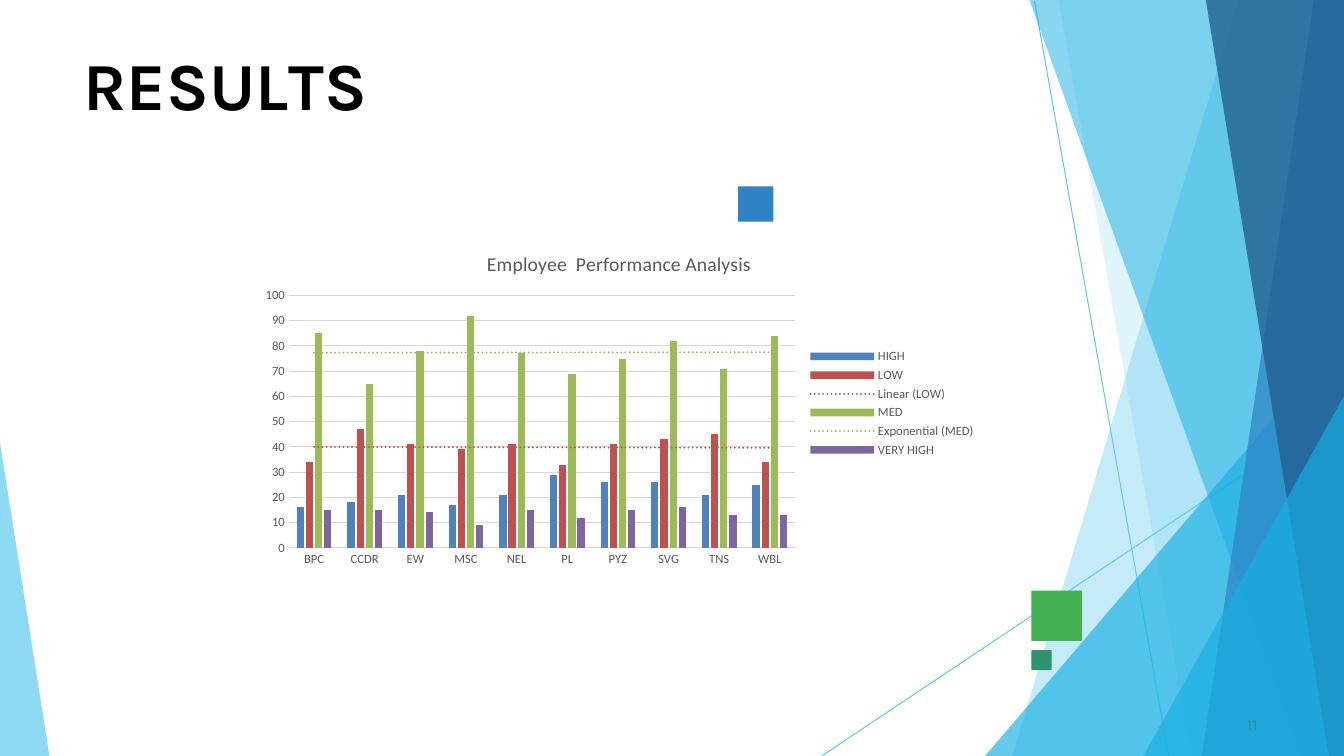
from lxml.etree import SubElement
from pptx import Presentation
from pptx.chart.data import CategoryChartData
from pptx.dml.color import RGBColor
from pptx.enum.chart import XL_CHART_TYPE, XL_LEGEND_POSITION, XL_TICK_MARK
from pptx.enum.shapes import MSO_CONNECTOR, MSO_SHAPE
from pptx.enum.text import MSO_ANCHOR, PP_ALIGN
from pptx.oxml import parse_xml
from pptx.oxml.ns import nsdecls, qn
from pptx.util import Inches, Pt

SKY = RGBColor(0x5F, 0xCA, 0xEE)
CYAN = RGBColor(0x17, 0xAF, 0xE3)
BLUE = RGBColor(0x2D, 0x83, 0xC3)
NAVY = RGBColor(0x22, 0x61, 0x92)
GREEN = RGBColor(0x42, 0xAF, 0x51)
TEAL = RGBColor(0x2D, 0x93, 0x6B)
BLACK = RGBColor(0x00, 0x00, 0x00)
GREY = RGBColor(0x59, 0x59, 0x59)
GRID = RGBColor(0xD9, 0xD9, 0xD9)
HIGH = RGBColor(0x4F, 0x81, 0xBD)
LOW = RGBColor(0xC0, 0x50, 0x4D)
MED = RGBColor(0x9B, 0xBB, 0x59)
VERY_HIGH = RGBColor(0x80, 0x64, 0xA2)


def style_font(font, name, size, color):
    font.name, font.size, font.bold = name, Pt(size), False
    font.color.rgb = color


def clear_margins(frame):
    frame.margin_left = frame.margin_right = frame.margin_bottom = 0
    frame.margin_top = Inches(0.01)
    frame.vertical_anchor = MSO_ANCHOR.TOP


deck = Presentation()
deck.slide_width, deck.slide_height = Inches(13.33), Inches(7.5)
page = deck.slides.add_slide(deck.slide_layouts[5])

# Thin background lines
for x1, y1, x2, y2 in [(10.26, 0.01, 11.59, 7.5), (13.33, 4.04, 8.15, 7.5)]:
    line = page.shapes.add_connector(
        MSO_CONNECTOR.STRAIGHT, Inches(x1), Inches(y1), Inches(x2), Inches(y2))
    line.line.color.rgb = SKY
    line.line.width = Pt(0.75)
    SubElement(line._element.spPr, qn("a:effectLst"))

# Translucent facets: corner points, colour, opacity in percent
RIGHT, BOTTOM = 13.33, 7.5
CORNER = (RIGHT, BOTTOM)
facets = [
    ([(RIGHT, 0), (12.28, 0), (10.04, BOTTOM), CORNER], SKY, 36),
    ([(RIGHT, 0), (10.5, 0), (11.82, BOTTOM), CORNER], SKY, 20),
    ([(RIGHT, 3.33), (9.77, BOTTOM), CORNER], CYAN, 66),
    ([(RIGHT, 0), (10.21, 0), (12.91, BOTTOM), CORNER], CYAN, 50),
    ([(RIGHT, 0), (13.03, 0), (11.92, BOTTOM), CORNER], BLUE, 70),
    ([(RIGHT, 0), (11.96, 0), (13.18, BOTTOM), CORNER], NAVY, 80),
    ([(RIGHT, 3.93), (11.34, BOTTOM), CORNER], CYAN, 66),
    ([(0, 4.39), (0, BOTTOM), (0.49, BOTTOM)], SKY, 70),
]
for points, color, opacity in facets:
    corners = [(Inches(x), Inches(y)) for x, y in points]
    builder = page.shapes.build_freeform(*corners[0])
    builder.add_line_segments(corners[1:], close=True)
    facet = builder.convert_to_shape()
    facet.shadow.inherit = False
    facet.line.fill.background()
    facet.fill.solid()
    facet.fill.fore_color.rgb = color
    tint = facet._element.spPr.find(qn("a:solidFill")).find(qn("a:srgbClr"))
    SubElement(tint, qn("a:alpha"), val=str(opacity * 1000))

# Accent squares
for left, top, size, color in [
        (10.23, 5.86, 0.5, GREEN), (7.32, 1.85, 0.35, BLUE), (10.23, 6.45, 0.2, TEAL)]:
    square = page.shapes.add_shape(
        MSO_SHAPE.RECTANGLE, Inches(left), Inches(top), Inches(size), Inches(size))
    square.shadow.inherit = False
    square.line.fill.background()
    square.fill.solid()
    square.fill.fore_color.rgb = color

# Title, with the L pulled tight against the T
title = page.shapes.title
title.left, title.top = Inches(0.83), Inches(0.42)
title.width, title.height = Inches(11.68), Inches(0.83)
clear_margins(title.text_frame)
para = title.text_frame.paragraphs[0]
para.alignment = PP_ALIGN.LEFT
para.space_before = Pt(1.1)
style_font(para.font, "Karla", 48, BLACK)
para.font.bold = True
for text, spacing in [("RESU", 0), ("L", -4), ("TS", 0)]:
    span = para.add_run()
    span.text = text
    span.font._element.set("spc", str(spacing * 100))

# Page number
number = page.shapes.add_textbox(Inches(12.33), Inches(7.08), Inches(0.25), Inches(0.21))
number.text_frame.word_wrap = True
clear_margins(number.text_frame)
para = number.text_frame.paragraphs[0]
para.text = "11"
para.space_before = Pt(0.6)
para._p.get_or_add_pPr().set("marL", str(Inches(0.04)))
style_font(para.font, "Karla", 11, TEAL)

# Performance chart: name, colour, trend line type, values
series_rows = [
    ("HIGH", HIGH, None, (16, 18, 21, 17, 21, 29, 26, 26, 21, 25)),
    ("LOW", LOW, "linear", (34, 47, 41, 39, 41, 33, 41, 43, 45, 34)),
    ("MED", MED, "exp", (85, 65, 78, 92, 77, 69, 75, 82, 71, 84)),
    ("VERY HIGH", VERY_HIGH, None, (15, 15, 14, 9, 15, 12, 15, 16, 13, 13)),
]
data = CategoryChartData()
data.categories = ["BPC", "CCDR", "EW", "MSC", "NEL", "PL", "PYZ", "SVG", "TNS", "WBL"]
for name, color, trend, values in series_rows:
    data.add_series(name, values)
chart = page.shapes.add_chart(
    XL_CHART_TYPE.COLUMN_CLUSTERED, Inches(2.5), Inches(2.33),
    Inches(7.28), Inches(3.34), data).chart
style_font(chart.font, "Calibri", 10, BLACK)

chart.has_title = True
chart.chart_title.include_in_layout = False
para = chart.chart_title.text_frame.paragraphs[0]
para.text = "Employee  Performance Analysis"
style_font(para.font, "Calibri", 14, GREY)

chart.has_legend = True
chart.legend.position = XL_LEGEND_POSITION.RIGHT
chart.legend.include_in_layout = False
style_font(chart.legend.font, "Calibri", 9, GREY)

# Axes
for axis in (chart.category_axis, chart.value_axis):
    axis.major_tick_mark = axis.minor_tick_mark = XL_TICK_MARK.NONE
    style_font(axis.tick_labels.font, "Calibri", 9, GREY)
chart.value_axis.minimum_scale = 0
chart.value_axis.maximum_scale = 100
chart.value_axis.major_unit = 10
chart.value_axis.format.line.fill.background()
for rule in (chart.category_axis.format.line, chart.value_axis.major_gridlines.format.line):
    rule.color.rgb = GRID
    rule.width = Pt(0.75)

# Columns and dotted trend lines
plot = chart.plots[0]
plot.gap_width, plot.overlap, plot.vary_by_categories = 219, -27, False
for series, (name, color, trend, values) in zip(plot.series, series_rows):
    series.format.fill.solid()
    series.format.fill.fore_color.rgb = color
    if trend:
        series._element.find(qn("c:cat")).addprevious(parse_xml(
            f'<c:trendline {nsdecls("c", "a")}><c:spPr><a:ln w="{Pt(1.5)}" cap="rnd">'
            f'<a:solidFill><a:srgbClr val="{color}"/></a:solidFill>'
            '<a:prstDash val="sysDot"/></a:ln></c:spPr>'
            f'<c:trendlineType val="{trend}"/>'
            '<c:dispRSqr val="0"/><c:dispEq val="0"/></c:trendline>'))

# Plot area, as fractions of the chart frame
area = chart._chartSpace.chart.plotArea
for old in area.findall(qn("c:layout")):
    area.remove(old)
area.insert(0, parse_xml(
    f'<c:layout {nsdecls("c")}><c:manualLayout><c:layoutTarget val="inner"/>'
    '<c:xMode val="edge"/><c:yMode val="edge"/><c:x val="0.05"/><c:y val="0.18"/>'
    '<c:w val="0.69"/><c:h val="0.75"/></c:manualLayout></c:layout>'))

deck.save("out.pptx")
